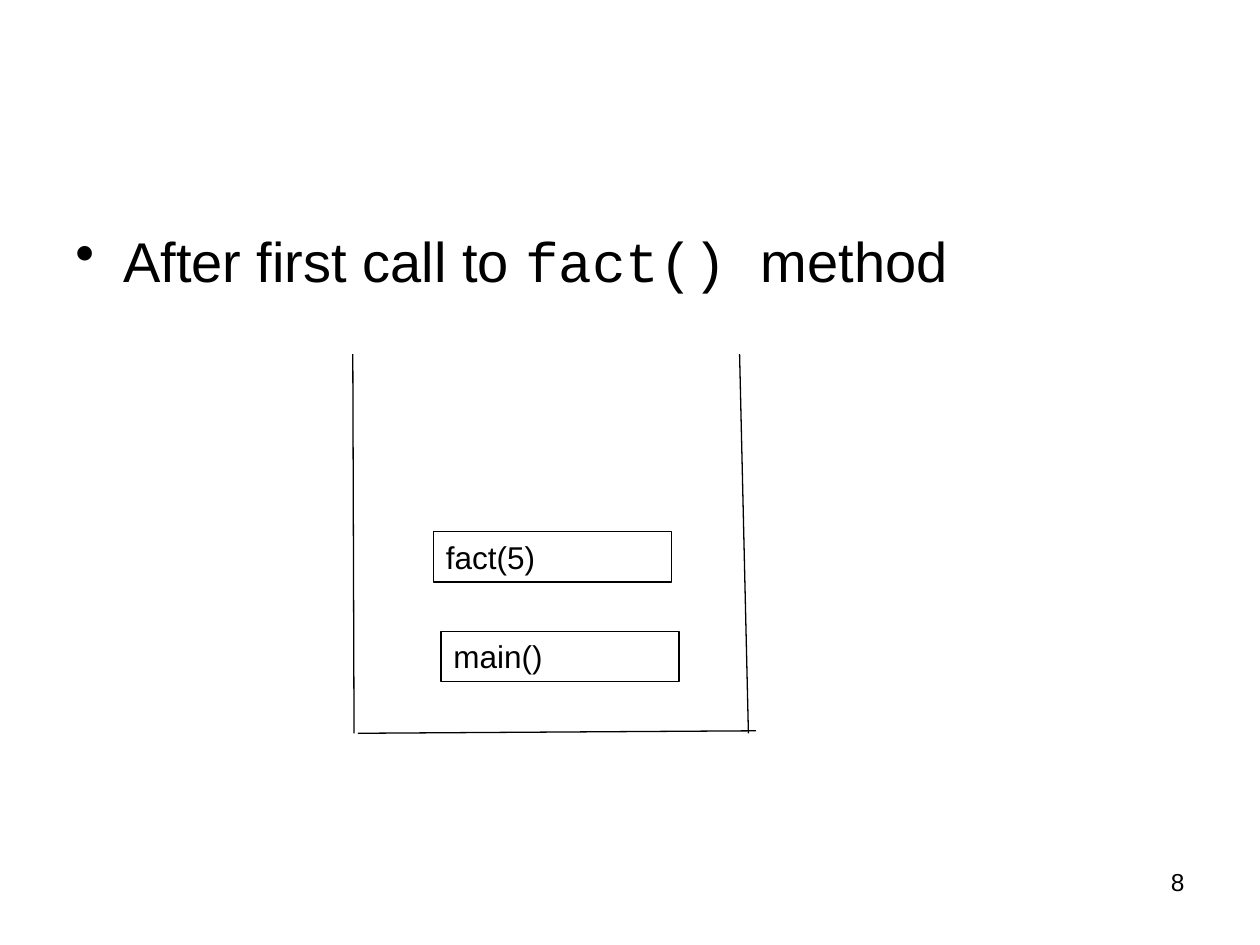
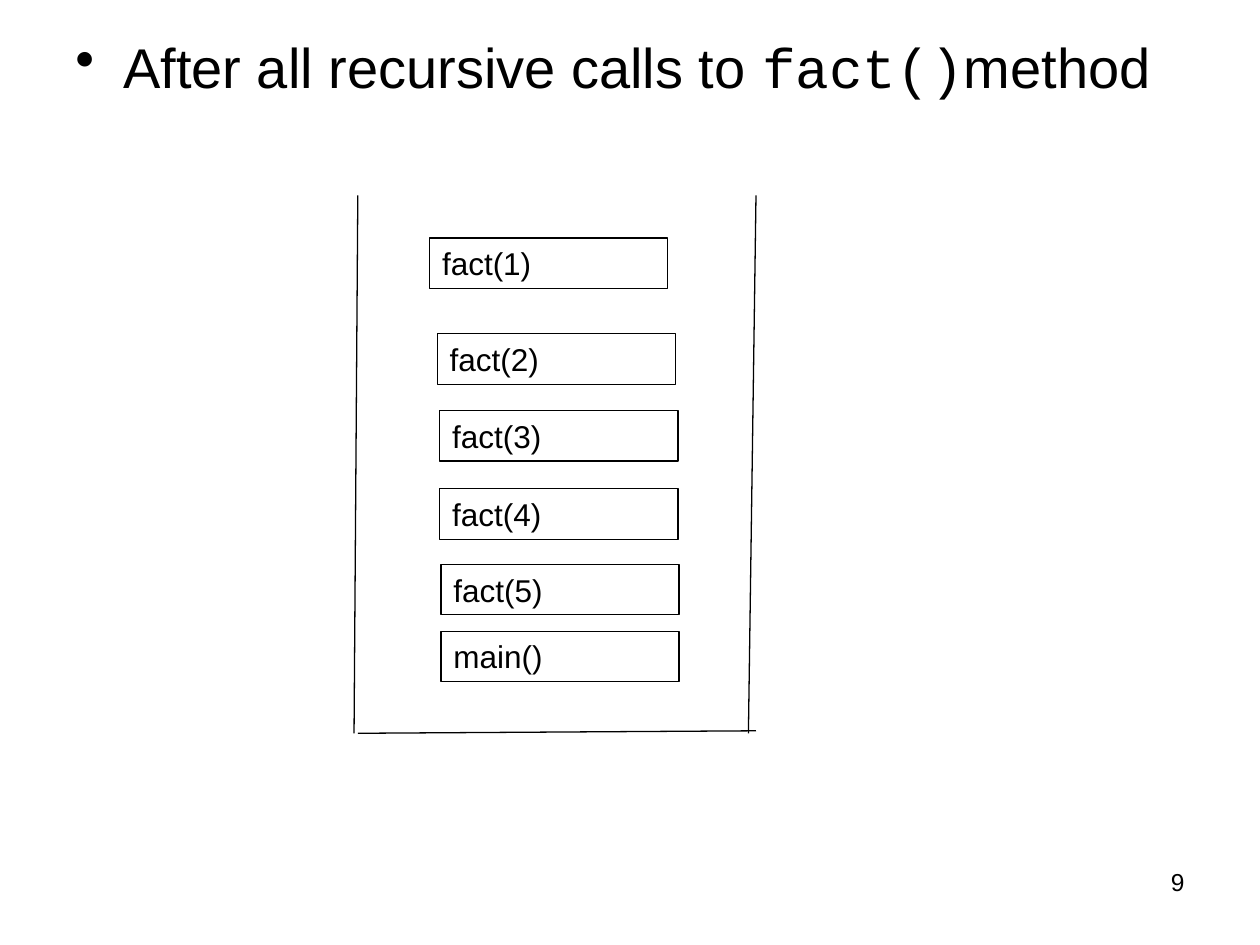
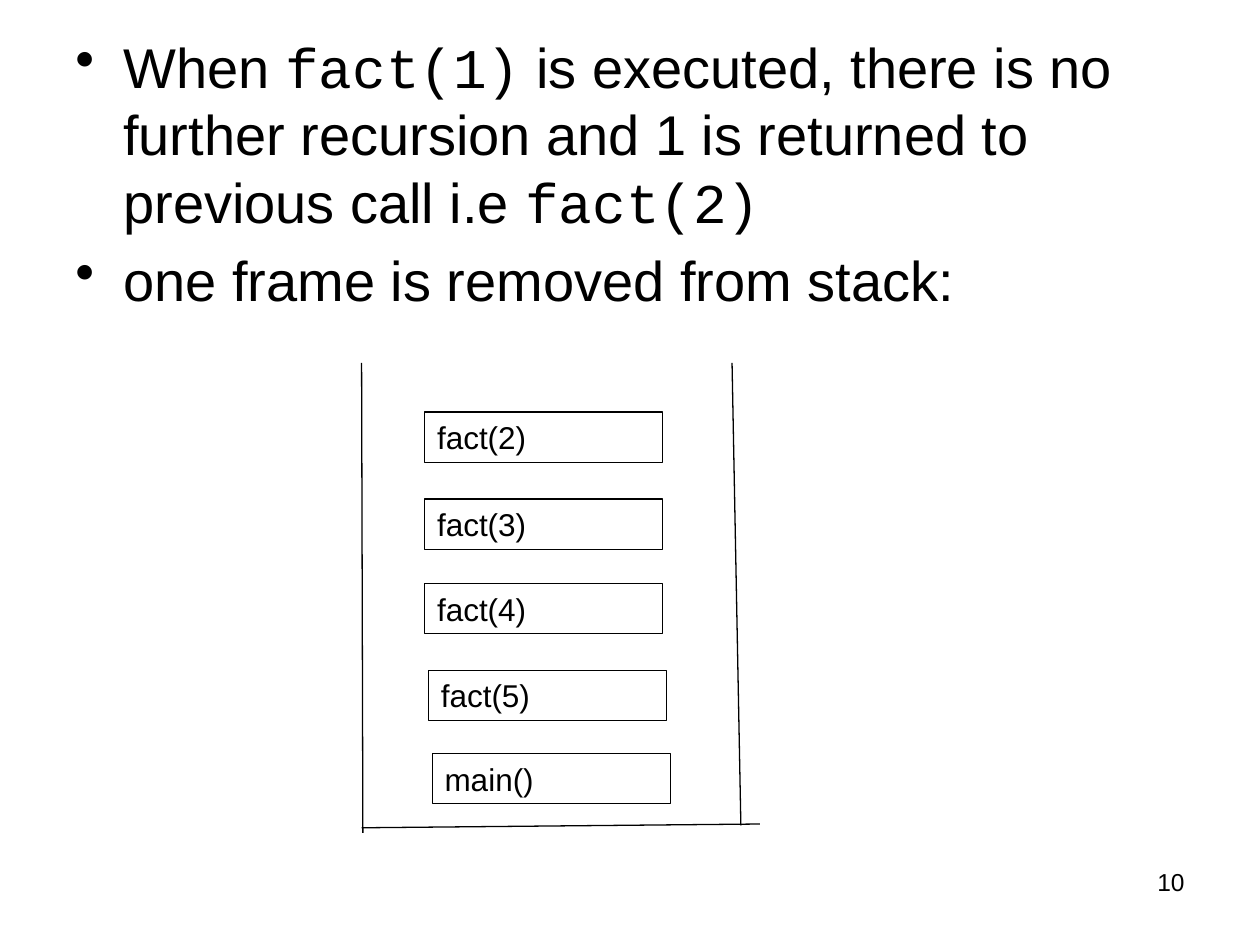
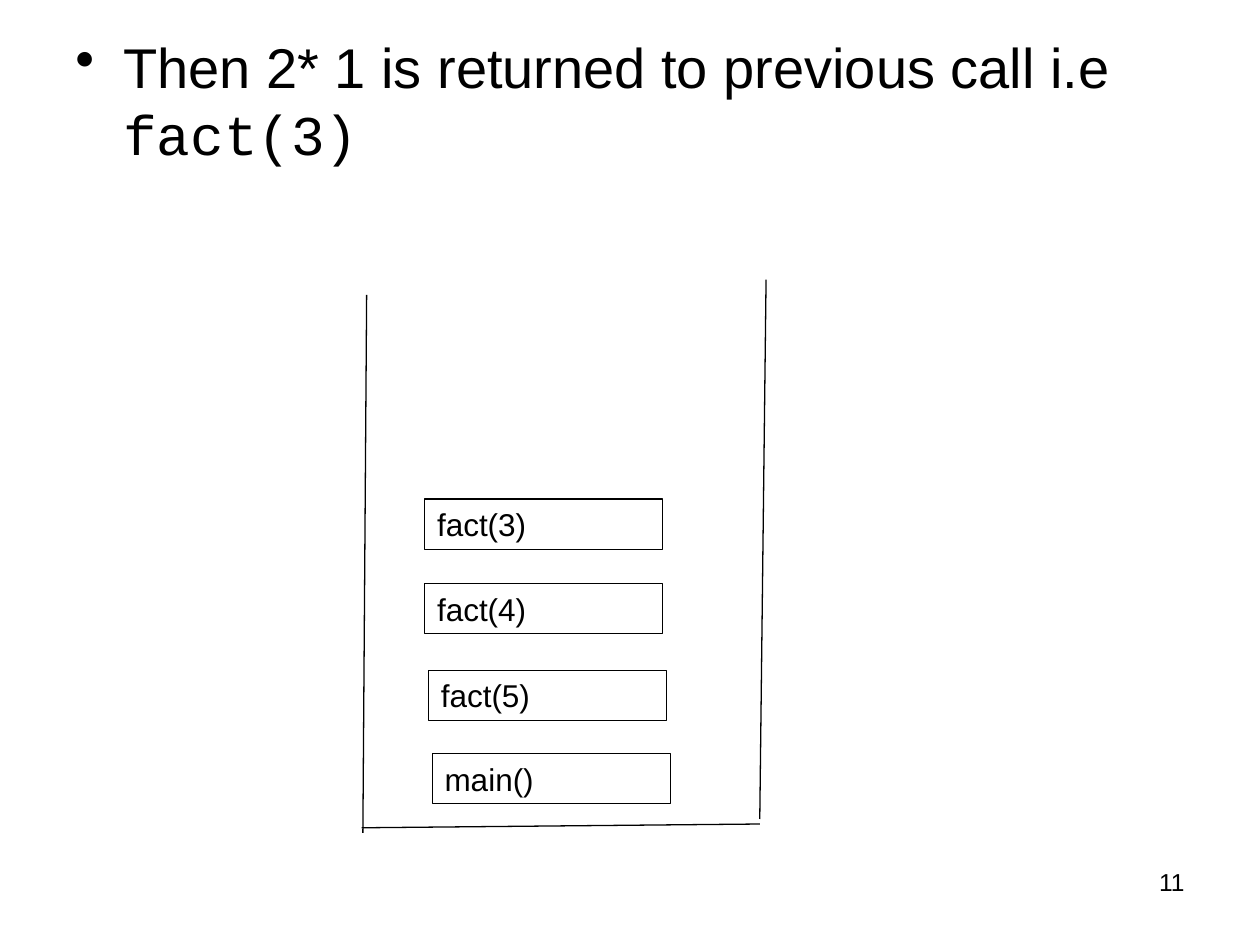
from dataclasses import dataclass

from pptx import Presentation
from pptx.dml.color import RGBColor
from pptx.enum.shapes import MSO_CONNECTOR, MSO_SHAPE
from pptx.enum.text import MSO_ANCHOR, MSO_AUTO_SIZE, PP_ALIGN
from pptx.oxml.ns import qn
from pptx.util import Inches, Pt

COLS = 100
INK = "000000"
SANS, MONO = "Arial", "Courier New"
BODY, LABEL, FOOT = 32, 18, 14
EDGE = Pt(0.75)
FIRST = 8

deck = Presentation()
deck.slide_width, deck.slide_height = Inches(10), Inches(7.5)
CELL = deck.slide_width // COLS


@dataclass(frozen=True)
class Wall:
    """A line between two grid points."""
    x1: float
    y1: float
    x2: float
    y2: float


@dataclass(frozen=True)
class Frame:
    """A call on the stack, placed by its top left corner."""
    name: str
    col: float
    row: float


@dataclass(frozen=True)
class Page:
    """A slide: bullets with code in backticks, body rows, walls and frames."""
    points: tuple[str, ...]
    top: float
    rows: float
    walls: tuple[Wall, ...]
    frames: tuple[Frame, ...]


def grid(*units: float) -> list[int]:
    """Turn grid units into lengths."""
    return [round(unit * CELL) for unit in units]


def paint(hue: str) -> RGBColor:
    """Turn a hex string into a colour."""
    return RGBColor.from_string(hue)


def write(para, text: str, *, size: float, hue: str = INK, align=PP_ALIGN.LEFT,
          bullet: bool = False) -> None:
    """Fill a paragraph, setting the parts in backticks in the code font."""
    para.alignment = align
    if bullet:
        para.space_before = Pt(size * 0.2)
        props = para._p.get_or_add_pPr()
        props.set("marL", str(Inches(0.38)))
        props.set("indent", str(-Inches(0.38)))
        props.makeelement(qn("a:buChar"), {"char": "•"})
        props.append(props.makeelement(qn("a:buChar"), {"char": "•"}))
    for spot, part in enumerate(text.split("`")):
        if part:
            run = para.add_run()
            run.text = part
            run.font.name = MONO if spot % 2 else SANS
            run.font.size = Pt(size)
            run.font.color.rgb = paint(hue)


def block(slide, texts: tuple[str, ...], *place: float, **style) -> None:
    """Add a text box with one paragraph for each text."""
    body = slide.shapes.add_textbox(*grid(*place)).text_frame
    body.word_wrap = True
    for spot, text in enumerate(texts):
        para = body.add_paragraph() if spot else body.paragraphs[0]
        write(para, text, **style)


def rule(slide, wall: Wall) -> None:
    """Draw one wall of the stack."""
    ends = grid(wall.x1, wall.y1, wall.x2, wall.y2)
    line = slide.shapes.add_connector(MSO_CONNECTOR.STRAIGHT, *ends)
    line.line.color.rgb = paint(INK)
    line.line.width = EDGE
    props = line._element.spPr
    props.append(props.makeelement(qn("a:effectLst"), {}))


def stack(slide, frame: Frame) -> None:
    """Draw one frame of the stack."""
    place = grid(frame.col, frame.row, 18.9, 4)
    box = slide.shapes.add_shape(MSO_SHAPE.RECTANGLE, *place)
    box.shadow.inherit = False
    box.fill.background()
    box.line.color.rgb = paint(INK)
    box.line.width = EDGE
    body = box.text_frame
    body.word_wrap = True
    body.auto_size = MSO_AUTO_SIZE.SHAPE_TO_FIT_TEXT
    body.vertical_anchor = MSO_ANCHOR.TOP
    write(body.paragraphs[0], frame.name, size=LABEL)


def build(page: Page, number: int) -> None:
    """Add one page to the deck."""
    slide = deck.slides.add_slide(deck.slide_layouts[6])
    block(slide, page.points, 5, page.top, 90, page.rows, size=BODY, bullet=True)
    block(slide, (str(number),), 71.7, 68.3, 23.3, 5.2, size=FOOT,
          align=PP_ALIGN.RIGHT)
    for wall in page.walls:
        rule(slide, wall)
    for frame in page.frames:
        stack(slide, frame)


HIGH = Wall(28.4, 58.2, 60, 58)
LOW = Wall(28.7, 65.7, 60.3, 65.4)
MAIN = Frame("main()", 35, 50.1)
KEPT = (
    Frame("main()", 34.3, 59.8),
    Frame("fact(5)", 34, 53.2),
    Frame("fact(4)", 33.7, 46.3),
    Frame("fact(3)", 33.7, 39.6),
)

PAGES = (
    Page(("After first call to `fact() `method",), 17.5, 49.5,
         (Wall(28, 28.1, 28.1, 58.2), HIGH, Wall(59.4, 58.2, 58.7, 28.1)),
         (MAIN, Frame("fact(5)", 34.4, 42.2))),
    Page(("After all recursive calls to `fact()`method",), 2.1, 64.9,
         (Wall(28.4, 15.5, 28.1, 58.2), HIGH, Wall(59.4, 58.2, 60, 15.5)),
         (MAIN,
          Frame("fact(5)", 35, 44.8),
          Frame("fact(4)", 34.9, 38.8),
          Frame("fact(3)", 34.9, 32.6),
          Frame("fact(2)", 34.7, 26.5),
          Frame("fact(1)", 34.1, 18.9))),
    Page(("When `fact(1)` is executed, there is no further recursion and 1 is "
          "returned to previous call i.e `fact(2) `",
          "one frame is removed from stack:"), 2.1, 71.4,
         (Wall(28.7, 28.8, 28.8, 66.1), LOW, Wall(58.8, 65.5, 58.1, 28.8)),
         (*KEPT, Frame("fact(2)", 33.7, 32.7))),
    Page(("Then 2* 1 is returned to previous call i.e `fact(3)`",), 2.1, 71.4,
         (Wall(29.1, 23.4, 28.8, 66.1), LOW, Wall(60.3, 65, 60.8, 22.2)),
         KEPT),
)

for number, page in enumerate(PAGES, FIRST):
    build(page, number)
deck.save("out.pptx")
